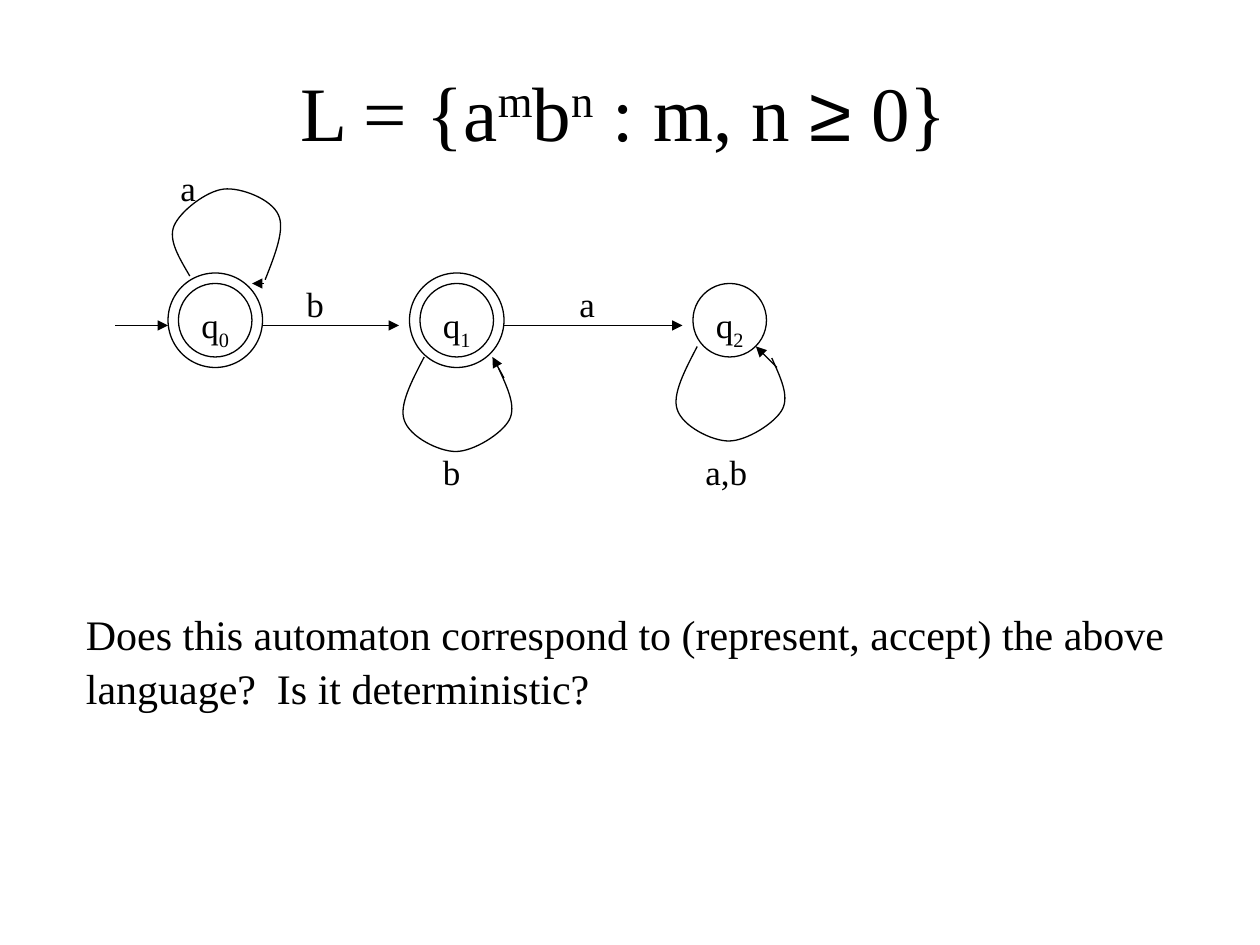
import pptx
import pptx.dml.color
import pptx.enum.shapes
import pptx.enum.text
import pptx.oxml.ns
import pptx.util
from lxml import etree

PX = 7620  # 120 px to the inch
BLACK = pptx.dml.color.RGBColor(0, 0, 0)
SERIF, SANS = "Times New Roman", "Arial"
SUPER, SUB = 30000, -25000
qn = pptx.oxml.ns.qn

# Runs are (text, baseline shift, font)
TITLE = [("L = {a", 0, SERIF), ("m", SUPER, SERIF), ("b", 0, SERIF), ("n", SUPER, SERIF),
         (" : m, n ", 0, SERIF), ("≥", 0, SANS), (" 0}", 0, SERIF)]
QUESTION = ("Does this automaton correspond to (represent, accept) the above "
            "language?  Is it deterministic?")

# index, left of circle, accepting, loop corner, loop rotation
STATES = [
    ("0", 170, True, (160, 180), 174),
    ("1", 400, True, (380, 340), 0),
    ("2", 660, False, (640, 330), 0),
]
STATE_TOP, STATE_SIZE, RING = 270, 70, 10
LABELS = [("a", 160, 150, 40), ("b", 280, 260, 70), ("a", 540, 260, 60),
          ("b", 410, 420, 50), ("a,b", 660, 420, 70)]
ARROWS = [
    (110, 310, 160, 310), (250, 310, 380, 310), (480, 310, 650, 310),  # transitions
    (251, 270, 240, 270), (480, 360, 469, 340), (740, 350, 720, 330),  # loop tips
]
# Start point, then two control points and an end point for each curve
LOOP = [(24, 0),
        (12, 23), (0, 46), (5, 60),
        (10, 76), (38, 90), (54, 90),
        (71, 90), (98, 73), (105, 60),
        (112, 47), (103, 29), (95, 11)]


def px(*values):
    return [pptx.util.Emu(v * PX) for v in values]


def write(tf, runs, size=20, align=None, spacing=1.07):
    tf.word_wrap = True
    p = tf.paragraphs[0]
    p.alignment = align
    p.line_spacing = spacing
    p.space_before = pptx.util.Pt(0)
    for text, shift, font in runs:
        r = p.add_run()
        r.text = text
        r.font.size = pptx.util.Pt(size)
        r.font.name = font
        r.font.color.rgb = BLACK
        if shift:
            r.font._element.set("baseline", str(shift))


def add_text(s, box, runs, **fmt):
    write(s.shapes.add_textbox(*px(*box)).text_frame, runs, **fmt)


def outline(sp):
    sp.line.color.rgb = BLACK
    sp.line.width = pptx.util.Pt(0.75)


def add_circle(s, left, top, size):
    sp = s.shapes.add_shape(pptx.enum.shapes.MSO_SHAPE.OVAL, *px(left, top, size, size))
    sp.shadow.inherit = False
    sp.fill.background()
    outline(sp)


def add_loop(s, corner, rotation):
    """Draw the LOOP curves; the freeform's line segments become Bézier curves."""
    fb = s.shapes.build_freeform(*LOOP[0], scale=PX)
    fb.add_line_segments(LOOP[1:], close=False)
    sp = fb.convert_to_shape(*px(*corner))
    sp.shadow.inherit = False
    sp.fill.background()
    outline(sp)
    sp.rotation = rotation
    curve = sp._element.find(".//" + qn("a:path"))
    segments = curve.findall(qn("a:lnTo"))
    for i in range(0, len(segments), 3):
        bezier = etree.SubElement(curve, qn("a:cubicBezTo"))
        for segment in segments[i:i + 3]:
            bezier.append(segment[0])
            curve.remove(segment)


def add_arrow(s, ends):
    c = s.shapes.add_connector(pptx.enum.shapes.MSO_CONNECTOR.STRAIGHT, *px(*ends))
    outline(c)
    etree.SubElement(c.line._get_or_add_ln(), qn("a:tailEnd"), type="triangle")
    etree.SubElement(c._element.spPr, qn("a:effectLst"))


def main():
    prs = pptx.Presentation()
    prs.slide_width, prs.slide_height = px(1200, 900)
    s = prs.slides.add_slide(prs.slide_layouts[5])

    title = s.shapes.title
    title.left, title.top, title.width, title.height = px(40, 30, 1108, 150)
    tf = title.text_frame
    tf.auto_size = pptx.enum.text.MSO_AUTO_SIZE.NONE
    tf.vertical_anchor = pptx.enum.text.MSO_ANCHOR.MIDDLE
    write(tf, TITLE, size=44, align=pptx.enum.text.PP_ALIGN.CENTER, spacing=1.0)

    for index, left, accepting, corner, rotation in STATES:
        add_circle(s, left, STATE_TOP, STATE_SIZE)
        if accepting:
            add_circle(s, left - RING, STATE_TOP - RING, STATE_SIZE + 2 * RING)
        add_text(s, (left + 10, STATE_TOP + 10, STATE_SIZE, 57),
                 [("q", 0, SERIF), (index, SUB, SERIF)])
        add_loop(s, corner, rotation)

    for ends in ARROWS:
        add_arrow(s, ends)
    for text, left, top, width in LABELS:
        add_text(s, (left, top, width, 53), [(text, 0, SERIF)])
    add_text(s, (70, 570, 1080, 181), [(QUESTION, 0, SERIF)], size=24)

    prs.save("out.pptx")


if __name__ == "__main__":
    main()
